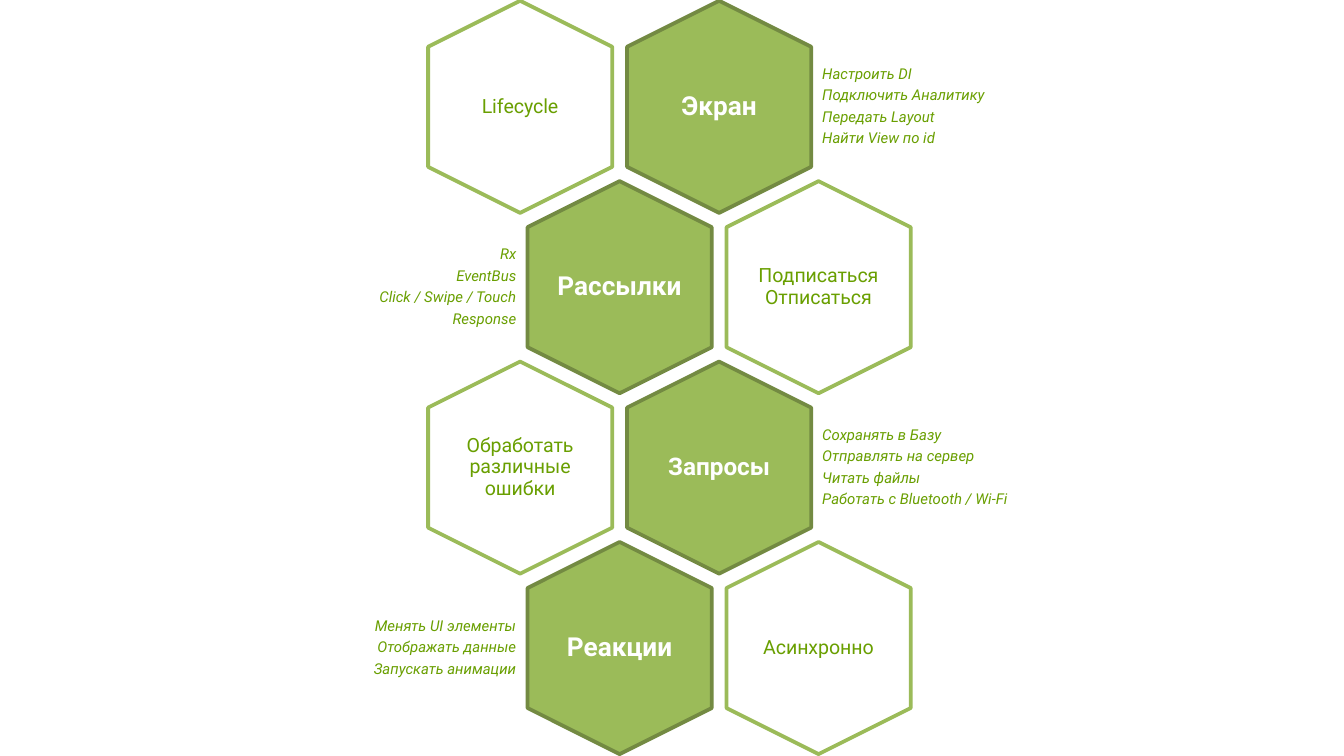
from pptx import Presentation
from pptx.dml.color import RGBColor
from pptx.enum.shapes import MSO_SHAPE
from pptx.enum.text import MSO_ANCHOR, PP_ALIGN
from pptx.util import Cm, Pt

HEXAGON = MSO_SHAPE.HEXAGON
MIDDLE = MSO_ANCHOR.MIDDLE
LEFT, CENTER, RIGHT = PP_ALIGN.LEFT, PP_ALIGN.CENTER, PP_ALIGN.RIGHT

COLORS = {"green": "9BBB59", "dark": "738A42", "text": "699F00", "white": "FFFFFF"}

# Honeycomb measures in centimetres
HEX_LENGTH, HEX_WIDTH = 4.01, 3.48
FIRST_X, FIRST_Y = 9.83, 2.02
COLUMN_STEP, ROW_STEP = 3.76, 3.41
LABEL_WIDTH, LABEL_HEIGHT = 2.4, 2.76
NOTE_WIDTH, NOTE_HEIGHT, NOTE_OFFSET = 4.4, 2.41, 1.87

# Topic, topic size, detail, notes
ROWS = [
    ("Экран", 14, "Lifecycle",
     ["Настроить DI", "Подключить Аналитику", "Передать Layout", "Найти View по id"]),
    ("Рассылки", 14, "Подписаться\vОтписаться",
     ["Rx", "EventBus", "Click / Swipe / Touch", "Response"]),
    ("Запросы", 13, "Обработать различные ошибки",
     ["Сохранять в Базу", "Отправлять на сервер", "Читать файлы",
      "Работать с Bluetooth / Wi-Fi"]),
    ("Реакции", 14, "Асинхронно",
     ["Менять UI элементы", "Отображать данные", "Запускать анимации"]),
]

presentation = Presentation()
presentation.slide_width, presentation.slide_height = Cm(25.4), Cm(14.29)
slide = presentation.slides.add_slide(presentation.slide_layouts[6])


def add_text(lines, left, center_y, width, height, size, color="text",
             align=CENTER, bold=False, italic=False, margin=0, space_after=0):
    box = slide.shapes.add_textbox(Cm(left), Cm(center_y - height / 2), Cm(width), Cm(height))
    frame = box.text_frame
    frame.word_wrap = True
    frame.vertical_anchor = MIDDLE
    frame.margin_left = frame.margin_right = Cm(margin)
    frame.margin_top = frame.margin_bottom = Cm(margin)
    frame.text = "\n".join(lines)
    for paragraph in frame.paragraphs:
        paragraph.alignment = align
        paragraph.line_spacing = 0.9
        paragraph.space_after = Pt(space_after)
        for run in paragraph.runs:
            run.font.name = "Roboto"
            run.font.size = Pt(size)
            run.font.bold, run.font.italic = bold, italic
            run.font.color.rgb = RGBColor.from_string(COLORS[color])


def add_hexagon(center_x, center_y, fill, line, label, **label_format):
    hexagon = slide.shapes.add_shape(
        HEXAGON, Cm(center_x - HEX_LENGTH / 2), Cm(center_y - HEX_WIDTH / 2),
        Cm(HEX_LENGTH), Cm(HEX_WIDTH))
    hexagon.rotation = 90
    hexagon.adjustments[0] = 0.25
    hexagon.shadow.inherit = False
    hexagon.fill.solid()
    hexagon.fill.fore_color.rgb = RGBColor.from_string(COLORS[fill])
    hexagon.line.color.rgb = RGBColor.from_string(COLORS[line])
    hexagon.line.width = Pt(2)
    add_text([label], center_x - LABEL_WIDTH / 2, center_y,
             LABEL_WIDTH, LABEL_HEIGHT, **label_format)


for row, (topic, topic_size, detail, notes) in enumerate(ROWS):
    # Odd rows shift by half a column and swap sides
    shifted = row % 2 == 1
    left_x = FIRST_X + shifted * COLUMN_STEP / 2
    right_x = left_x + COLUMN_STEP
    topic_x, detail_x = (left_x, right_x) if shifted else (right_x, left_x)
    center_y = FIRST_Y + row * ROW_STEP

    add_hexagon(topic_x, center_y, "green", "dark", topic,
                size=topic_size, color="white", bold=True)
    add_hexagon(detail_x, center_y, "white", "green", detail, size=10.5)

    # Notes on the outer side of the topic
    note_x = topic_x - NOTE_OFFSET - NOTE_WIDTH if shifted else topic_x + NOTE_OFFSET
    add_text(notes, note_x, center_y, NOTE_WIDTH, NOTE_HEIGHT, size=8, italic=True,
             align=RIGHT if shifted else LEFT, margin=0.08, space_after=2.9)

presentation.save("out.pptx")
